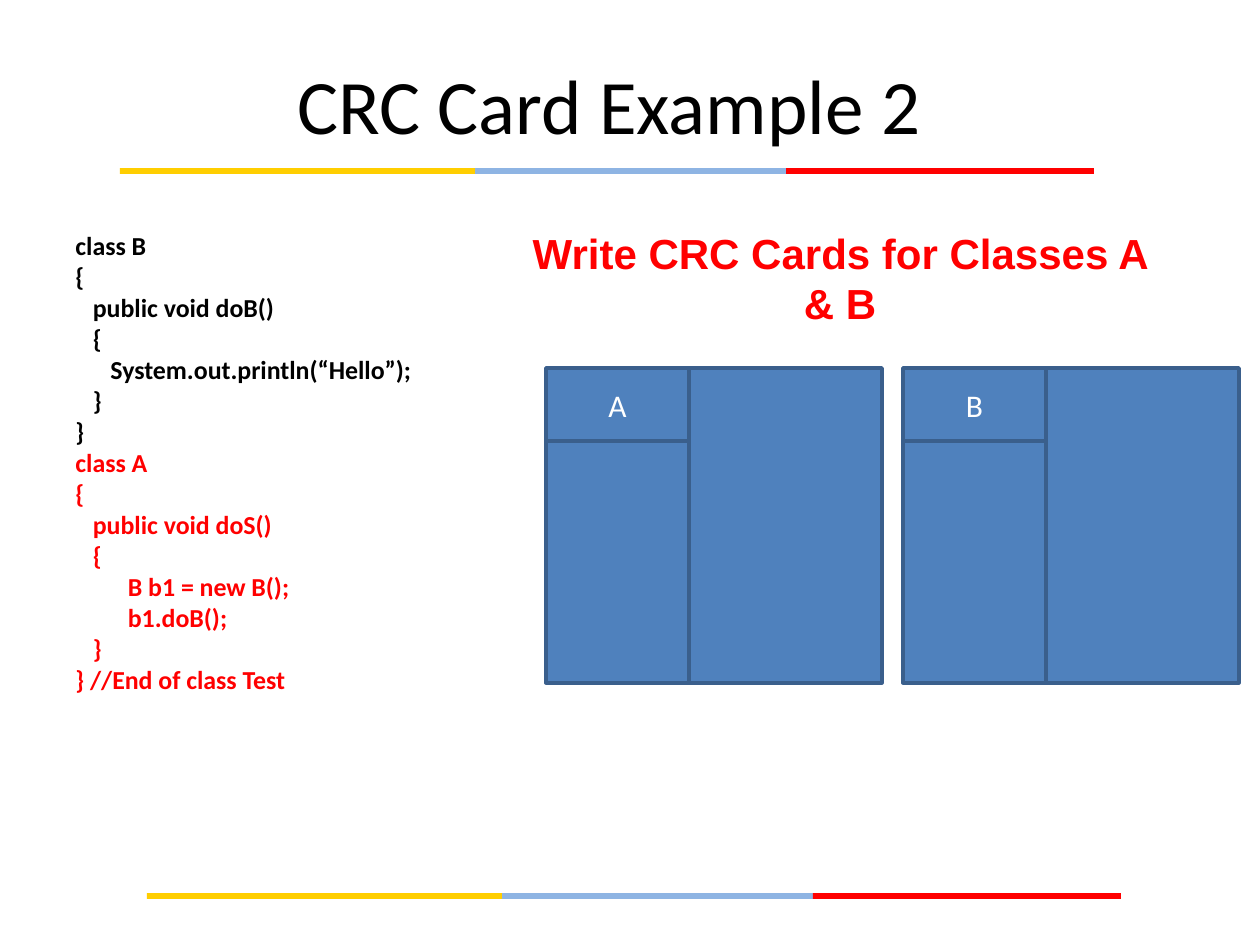
from dataclasses import dataclass

from pptx import Presentation
from pptx.dml.color import RGBColor
from pptx.enum.shapes import MSO_SHAPE
from pptx.enum.text import MSO_ANCHOR, PP_ALIGN
from pptx.shapes.autoshape import Shape
from pptx.slide import Slide
from pptx.text.text import _Paragraph
from pptx.util import Emu, Pt

PX_PER_INCH = 126


@dataclass(frozen=True)
class Theme:
    black: str = "000000"
    white: str = "FFFFFF"
    red: str = "FF0000"
    gold: str = "FFCE00"
    sky: str = "8EB4E3"
    card_fill: str = "4F81BD"
    card_line: str = "3A5F8C"
    body_font: str = "Calibri"
    prompt_font: str = "Arial"
    title_size: float = 44
    prompt_size: float = 24
    card_size: float = 18
    code_size: float = 14.8
    code_pitch: float = 17.75


@dataclass(frozen=True)
class Area:
    left: int
    top: int
    width: int
    height: int

    def emu(self) -> tuple[Emu, Emu, Emu, Emu]:
        return px(self.left), px(self.top), px(self.width), px(self.height)


@dataclass(frozen=True)
class Stripe:
    offset: int
    width: int
    color: str


@dataclass(frozen=True)
class Card:
    name: str
    left: int


THEME = Theme()
STRIPES = (
    Stripe(350, 321, THEME.sky),
    Stripe(666, 308, THEME.red),
    Stripe(0, 355, THEME.gold),
)
STRIPE_HEIGHT = 6
CARDS = (Card("A", 546), Card("B", 903))
CARD_TOP, CARD_HEIGHT = 368, 315
NAME_WIDTH, NAME_HEIGHT, SIDE_WIDTH = 143, 73, 193

CLASS_B = """class B
{
   public void doB()
   {
      System.out.println(“Hello”);
   }
}"""
CLASS_A = """class A
{
   public void doS()
   {
         B b1 = new B();
         b1.doB();
   }
} //End of class Test"""


def px(length: int) -> Emu:
    return Emu(round(length * 914400 / PX_PER_INCH))


def format_para(para: _Paragraph, size: float, color: str,
                font: str = THEME.body_font, bold: bool = False) -> None:
    for span in para.runs:
        span.font.name = font
        span.font.size = Pt(size)
        span.font.bold = bold
        span.font.color.rgb = RGBColor.from_string(color)


def add_rectangle(page: Slide, area: Area, fill: str, line: str | None = None) -> Shape:
    box = page.shapes.add_shape(MSO_SHAPE.RECTANGLE, *area.emu())
    box.shadow.inherit = False
    box.fill.solid()
    box.fill.fore_color.rgb = RGBColor.from_string(fill)
    if line:
        box.line.color.rgb = RGBColor.from_string(line)
        box.line.width = Pt(2)
    else:
        box.line.fill.background()
    return box


def add_stripes(page: Slide, left: int, top: int) -> None:
    for stripe in STRIPES:
        area = Area(left + stripe.offset, top, stripe.width, STRIPE_HEIGHT)
        add_rectangle(page, area, stripe.color)


def add_title(page: Slide, text: str, area: Area) -> None:
    title = page.shapes.title
    title.left, title.top, title.width, title.height = area.emu()
    title.text_frame.text = text
    title.text_frame.vertical_anchor = MSO_ANCHOR.MIDDLE
    para = title.text_frame.paragraphs[0]
    para.alignment = PP_ALIGN.CENTER
    format_para(para, THEME.title_size, THEME.black)


def add_code(page: Slide, area: Area) -> None:
    frame = page.shapes.add_textbox(*area.emu()).text_frame
    frame.word_wrap = True
    frame.text = f"{CLASS_B}\n{CLASS_A}"
    class_b_lines = len(CLASS_B.splitlines())
    for number, para in enumerate(frame.paragraphs):
        para.line_spacing = Pt(THEME.code_pitch)
        color = THEME.black if number < class_b_lines else THEME.red
        format_para(para, THEME.code_size, color, bold=True)


def add_prompt(page: Slide, text: str, area: Area) -> None:
    frame = page.shapes.add_textbox(*area.emu()).text_frame
    frame.word_wrap = True
    frame.text = text
    para = frame.paragraphs[0]
    para.alignment = PP_ALIGN.CENTER
    format_para(para, THEME.prompt_size, THEME.red, THEME.prompt_font, bold=True)


def add_card(page: Slide, card: Card) -> None:
    name_area = Area(card.left, CARD_TOP, NAME_WIDTH, NAME_HEIGHT)
    duties_area = Area(card.left, CARD_TOP + NAME_HEIGHT, NAME_WIDTH, CARD_HEIGHT - NAME_HEIGHT)
    side_area = Area(card.left + NAME_WIDTH, CARD_TOP, SIDE_WIDTH, CARD_HEIGHT)
    name_box, _, _ = [
        add_rectangle(page, area, THEME.card_fill, THEME.card_line)
        for area in (name_area, duties_area, side_area)
    ]
    frame = name_box.text_frame
    frame.text = card.name
    frame.vertical_anchor = MSO_ANCHOR.MIDDLE
    para = frame.paragraphs[0]
    para.alignment = PP_ALIGN.CENTER
    format_para(para, THEME.card_size, THEME.white)


def main() -> None:
    deck = Presentation()
    deck.slide_width, deck.slide_height = px(1260), px(945)
    page = deck.slides.add_slide(deck.slide_layouts[5])
    add_stripes(page, 120, 168)
    add_stripes(page, 147, 893)
    add_title(page, "CRC Card Example 2", Area(42, 39, 1134, 130))
    add_code(page, Area(63, 223, 483, 462))
    add_prompt(page, "Write CRC Cards for Classes A & B", Area(504, 221, 672, 114))
    for card in CARDS:
        add_card(page, card)
    deck.save("out.pptx")


if __name__ == "__main__":
    main()
